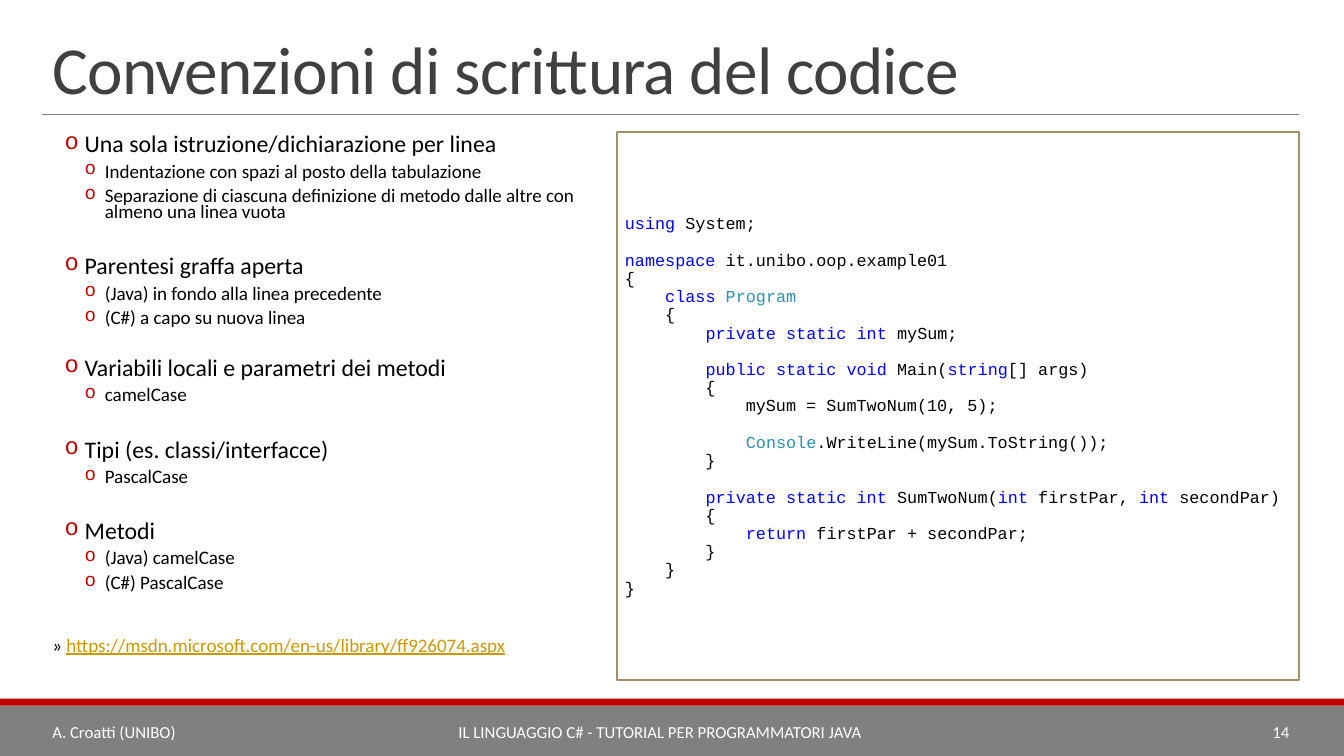
from lxml.etree import SubElement
from pptx import Presentation
from pptx.dml.color import RGBColor
from pptx.enum.shapes import MSO_CONNECTOR, MSO_SHAPE
from pptx.enum.text import MSO_ANCHOR as ANCHOR, PP_ALIGN as ALIGN
from pptx.oxml.ns import qn
from pptx.util import Pt

BLACK, WHITE, GREY, RED = "000000", "FFFFFF", "808080", "C00000"
BLUE, TEAL = "0000FF", "2B91AF"
LEFT, WIDTH = 30.24, 897.84
TOP, HEIGHT = 94.32, 391.68
CODE_LINE = 13


def style(font, size, color, name="Calibri"):
    font.size, font.name = Pt(size), name
    font.color.rgb = RGBColor.from_string(color)


def add_box(left, top, width, height, fill):
    box = slide.shapes.add_shape(MSO_SHAPE.RECTANGLE, Pt(left), Pt(top), Pt(width), Pt(height))
    box.shadow.inherit = False
    box.fill.solid()
    box.fill.fore_color.rgb = RGBColor.from_string(fill)
    box.line.fill.background()
    box.text_frame.word_wrap = True
    return box


deck = Presentation()
deck.slide_width, deck.slide_height = Pt(960), Pt(540)
slide = deck.slides.add_slide(deck.slide_layouts[5])

# Footer bands and title rule
add_box(0, 504, 960, 36, GREY)
add_box(0, 499, 960, 5, RED)
rule = slide.shapes.add_connector(MSO_CONNECTOR.STRAIGHT, Pt(LEFT), Pt(82), Pt(LEFT + WIDTH), Pt(82))
rule.line.color.rgb = RGBColor.from_string(GREY)
rule.line.width = Pt(0.5)
SubElement(rule._element.spPr, qn("a:effectLst"))

# Title
title = slide.shapes.title
title.left, title.top, title.width, title.height = Pt(LEFT), Pt(22.3), Pt(WIDTH), Pt(58.3)
title.text_frame.text = "Convenzioni di scrittura del codice"
title.text_frame.vertical_anchor = ANCHOR.BOTTOM
heading = title.text_frame.paragraphs[0]
heading.alignment = ALIGN.LEFT
heading.line_spacing = 0.85
style(heading.font, 48, "404040")
heading.runs[0]._r.get_or_add_rPr().set("spc", "-50")

# Conventions: each topic with its rules, and the space before it
topics = [
    (0, "Una sola istruzione/dichiarazione per linea", [
        "Indentazione con spazi al posto della tabulazione",
        "Separazione di ciascuna definizione di metodo dalle altre con almeno una linea vuota"]),
    (22.5, "Parentesi graffa aperta", [
        "(Java) in fondo alla linea precedente", "(C#) a capo su nuova linea"]),
    (19.6, "Variabili locali e parametri dei metodi", ["camelCase"]),
    (22.5, "Tipi (es. classi/interfacce)", ["PascalCase"]),
    (22.5, "Metodi", ["(Java) camelCase", "(C#) PascalCase"]),
]
items = []
for gap, topic, rules in topics:
    items.append((topic, 17, 30.24, gap))
    items += [(text, 13.6, 44.64, 2) for text in rules]

conventions = add_box(LEFT, TOP, 411, HEIGHT, WHITE).text_frame
conventions.vertical_anchor = ANCHOR.TOP
conventions.margin_left = conventions.margin_right = 0
for index, (text, size, indent, gap) in enumerate(items):
    item = conventions.add_paragraph() if index else conventions.paragraphs[0]
    item.text = text
    item.alignment = ALIGN.LEFT
    item.line_spacing, item.space_before, item.space_after = 0.7, Pt(gap), Pt(4)
    props = item._p.get_or_add_pPr()
    props.set("marL", str(Pt(indent)))
    props.set("indent", str(Pt(-14.4)))
    SubElement(SubElement(props, qn("a:buClr")), qn("a:srgbClr"), val=RED)
    SubElement(props, qn("a:buFont"), typeface="Courier New")
    SubElement(props, qn("a:buChar"), char="o")
    style(item.font, size, BLACK)

reference = conventions.add_paragraph()
reference.alignment = ALIGN.LEFT
reference.line_spacing, reference.space_before, reference.space_after = 0.7, Pt(29.6), Pt(2)
reference._p.get_or_add_pPr().set("marL", str(Pt(7.2)))
for text, color in [("» ", BLACK), ("https://msdn.microsoft.com/en-us/library/ff926074.aspx", "CC9900")]:
    run = reference.add_run()
    run.text = text
    style(run.font, 13.6, color)
run.font.underline = True

# Code sample: "|" separates pieces, coloured by their first word
tints = dict.fromkeys(["using", "namespace", "class", "private", "public", "string", "int", "return"], BLUE)
tints |= {"Program": TEAL, "Console": TEAL}
source = """using| System;

namespace| it.unibo.oop.example01
{
    |class |Program
    {
        |private static int |mySum;

        |public static void| Main(|string|[] args)
        {
            mySum = SumTwoNum(10, 5);

            |Console|.WriteLine(mySum.ToString());
        }

        |private static int |SumTwoNum(|int |firstPar, |int |secondPar)
        {
            |return |firstPar + secondPar;
        }
    }
}"""
code_box = add_box(440.64, TOP, 487.44, HEIGHT, WHITE)
code_box.line.color.rgb = RGBColor.from_string("A28E6A")
code_box.line.width = Pt(1.25)
code = code_box.text_frame
code.vertical_anchor = ANCHOR.MIDDLE
code.margin_left = code.margin_right = code.margin_top = code.margin_bottom = Pt(5.76)
line, gap = code.paragraphs[0], 0
for text in source.split("\n"):
    if not text:
        gap = CODE_LINE
        continue
    if line.runs:
        line = code.add_paragraph()
    line.alignment = ALIGN.LEFT
    line.line_spacing, line.space_before = Pt(CODE_LINE), Pt(gap)
    gap = 0
    for piece in text.split("|"):
        run = line.add_run()
        run.text = piece
        style(run.font, 12, tints.get(piece.strip().partition(" ")[0], BLACK), "Courier New")

# Footer
for left, width, text, align in [
    (LEFT, 133.2, "A. Croatti (UNIBO)", ALIGN.LEFT),
    (163.44, 616.32, "IL LINGUAGGIO C# - TUTORIAL PER PROGRAMMATORI JAVA", ALIGN.CENTER),
    (779.76, 148.32, "14", ALIGN.RIGHT),
]:
    footer = slide.shapes.add_textbox(Pt(left), Pt(508.3), Pt(width), Pt(28.8)).text_frame
    footer.word_wrap = True
    footer.vertical_anchor = ANCHOR.MIDDLE
    footer.text = text
    footer.paragraphs[0].alignment = align
    style(footer.paragraphs[0].font, 12, WHITE)

deck.save("out.pptx")
